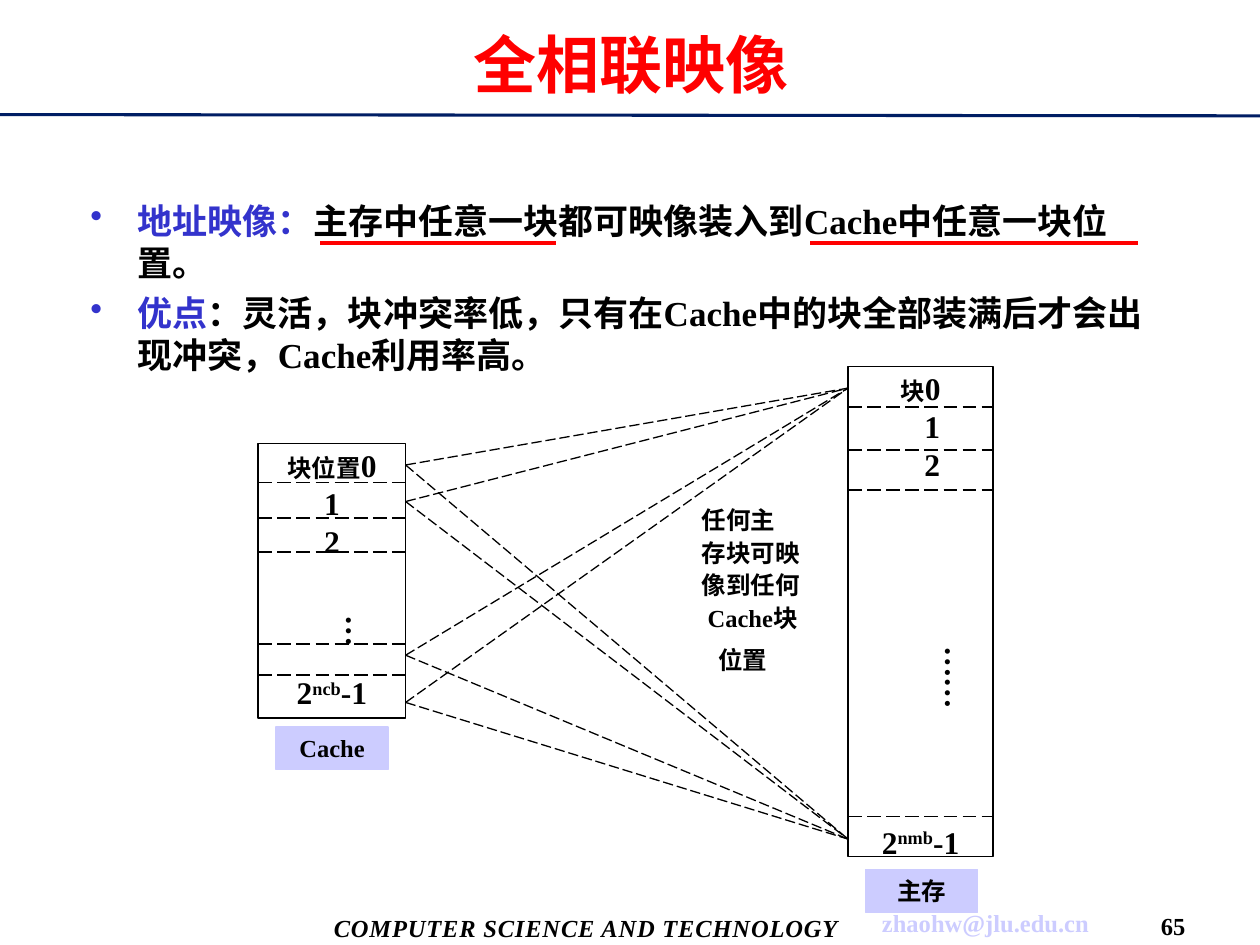
import itertools
from dataclasses import dataclass

import lxml.etree
import pptx
import pptx.dml.color
import pptx.enum.dml
import pptx.enum.shapes
import pptx.enum.text
import pptx.oxml.ns
import pptx.util

Pt = pptx.util.Pt
ALIGN = pptx.enum.text.PP_ALIGN
ANCHOR = pptx.enum.text.MSO_ANCHOR
LATIN, CHINESE = "Times New Roman", "Noto Sans CJK SC"
BLACK, RED, BLUE, LILAC, NAVY = "000000", "FF0000", "3333CC", "CCCCFF", "001E64"
LEADING = 1.2


@dataclass(frozen=True)
class Span:
    text: str
    size: float | None = None
    color: str | None = None
    raised: bool = False


@dataclass(frozen=True)
class Para:
    spans: tuple[Span, ...]
    before: float = 0
    indent: float = 0
    bullet: bool = False


@dataclass(frozen=True)
class Area:
    left: float
    top: float
    width: float
    height: float

    def lengths(self) -> list[int]:
        return [Pt(v) for v in (self.left, self.top, self.width, self.height)]


@dataclass(frozen=True)
class Stack:
    """A memory drawn as a column of blocks, with the label under it."""
    area: Area
    dividers: tuple[float, ...]
    paras: tuple[Para, ...]
    label: str
    label_area: Area
    dots: str
    dots_area: Area


def rgb(color: str) -> pptx.dml.color.RGBColor:
    return pptx.dml.color.RGBColor.from_string(color)


def plain(text: str, **options) -> Para:
    return Para((Span(text),), **options)


def write(box, *paras: Para, size: float = 14, color: str = BLACK, align=ALIGN.LEFT,
          anchor=ANCHOR.TOP, insets=(7.2, 3.6), leading: float | None = None,
          italic: bool = False, tracking: int = 0) -> None:
    """Fill a shape with text; leading is the exact line height in points."""
    frame = box.text_frame
    frame.word_wrap, frame.vertical_anchor = True, anchor
    frame.margin_left = frame.margin_right = Pt(insets[0])
    frame.margin_top = frame.margin_bottom = Pt(insets[1])
    for number, item in enumerate(paras):
        para = frame.add_paragraph() if number else frame.paragraphs[0]
        properties = para._p.get_or_add_pPr()
        properties.set("marL", str(Pt(item.indent)))
        properties.set("indent", str(Pt(-item.indent if item.bullet else 0)))
        properties.set("hangingPunct", "0")
        if item.bullet:
            tint = lxml.etree.SubElement(properties, pptx.oxml.ns.qn("a:buClr"))
            lxml.etree.SubElement(tint, pptx.oxml.ns.qn("a:srgbClr")).set("val", BLUE)
            lxml.etree.SubElement(properties, pptx.oxml.ns.qn("a:buChar")).set("char", "•")
        para.alignment = align
        para.space_before = Pt(item.before)
        if leading:
            para.line_spacing = Pt(leading)
        for part in item.spans:
            span = para.add_run()
            span.text = part.text
            font = span.font
            font.size, font.bold, font.italic = Pt(part.size or size), True, italic
            font.name = LATIN
            font.color.rgb = rgb(part.color or color)
            east = lxml.etree.SubElement(font._element, pptx.oxml.ns.qn("a:ea"))
            east.set("typeface", CHINESE)
            if tracking:
                font._element.set("spc", str(tracking))
            if part.raised:
                font._element.set("baseline", "30000")


def add_text(page, area: Area, *paras: Para, vertical: bool = False, **options) -> None:
    box = page.shapes.add_textbox(*area.lengths())
    write(box, *paras, **options)
    if vertical:
        box.text_frame._txBody.bodyPr.set("vert", "eaVert")


def add_box(page, area: Area, *paras: Para, fill: str | None = None,
            line: str = BLACK, weight: float = 1, **options) -> None:
    box = page.shapes.add_shape(pptx.enum.shapes.MSO_SHAPE.RECTANGLE, *area.lengths())
    box.shadow.inherit = False
    if fill:
        box.fill.solid()
        box.fill.fore_color.rgb = rgb(fill)
    else:
        box.fill.background()
    box.line.color.rgb = rgb(line)
    box.line.width = Pt(weight)
    write(box, *paras, align=ALIGN.CENTER, **options)


def add_line(page, x1: float, y1: float, x2: float, y2: float, color: str = BLACK,
             weight: float = 1, dashed: bool = False) -> None:
    line = page.shapes.add_connector(pptx.enum.shapes.MSO_CONNECTOR.STRAIGHT,
                                     Pt(x1), Pt(y1), Pt(x2), Pt(y2))
    line.line.color.rgb = rgb(color)
    line.line.width = Pt(weight)
    if dashed:
        line.line.dash_style = pptx.enum.dml.MSO_LINE.LONG_DASH
    lxml.etree.SubElement(line._element.spPr, pptx.oxml.ns.qn("a:effectLst"))


def add_stack(page, stack: Stack) -> None:
    area = stack.area
    add_box(page, area, *stack.paras, size=18, leading=18 * LEADING, insets=(1.44, 1.44))
    for y in stack.dividers:
        add_line(page, area.left, y, area.left + area.width, y, dashed=True)
    add_text(page, stack.dots_area, plain(stack.dots), size=18, vertical=True,
             align=ALIGN.CENTER, anchor=ANCHOR.MIDDLE, insets=(3.6, 7.2))
    add_box(page, stack.label_area, plain(stack.label), fill=LILAC, line=LILAC,
            weight=0.75, leading=14 * LEADING)


def block_rows(first: str, power: str, indent: float, gap: float) -> tuple[Para, ...]:
    last = Para((Span("2"), Span(power, raised=True), Span("-1")), before=gap)
    return (Para((Span(first, size=14), Span("0"))),
            plain("1", indent=indent), plain("2", indent=indent), last)


CACHE = Stack(Area(147.6, 253.4, 84.2, 157), (275.8, 295.9, 315.4, 367.9, 385.9),
              block_rows("块位置", "ncb", 0, 65), "Cache", Area(157.7, 415.4, 64.1, 24.5),
              "…", Area(187.2, 344.3, 36, 86.4))
MEMORY = Stack(Area(484.6, 209.5, 82.8, 280), (232.6, 257, 280.1, 466.6),
               block_rows("块", "nmb", 13.5, 194.4), "主存", Area(494.6, 496.8, 64.1, 24.5),
               "……", Area(529.4, 362, 36, 107.3))
CACHE_ENDS = (265.7, 286.6, 374.4, 401.4)
MEMORY_ENDS = (221.8, 479.5)
POINTS = (
    Para((Span("地址映像：", color=BLUE), Span("主存中任意一块都可映像装入到Cache中任意一块位置。")),
         indent=27, bullet=True),
    Para((Span("优点", color=BLUE),
          Span("：灵活，块冲突率低，只有在Cache中的块全部装满后才会出现冲突，Cache利用率高。")),
         before=5, indent=27, bullet=True),
)
REMARK = (plain("任何主"), plain("存块可映", before=8.8), plain("像到任何", before=8.8),
          plain("Cache块", before=8.8, indent=3.5), plain("位置", before=14, indent=9.5))


def main() -> None:
    deck = pptx.Presentation()
    deck.slide_width, deck.slide_height = Pt(720), Pt(540)
    page = deck.slides.add_slide(deck.slide_layouts[5])

    title = page.shapes.title
    title.left, title.top, title.width, title.height = Area(23.4, 6.4, 674.6, 59.8).lengths()
    write(title, plain("全相联映像"), size=36, color=RED, align=ALIGN.CENTER,
          anchor=ANCHOR.MIDDLE)
    add_line(page, 0, 65.5, 720, 66.2, color=NAVY, weight=1.75)

    footer = {"align": ALIGN.CENTER, "anchor": ANCHOR.MIDDLE}
    add_text(page, Area(164.8, 514.8, 340, 30.2), plain("COMPUTER SCIENCE AND TECHNOLOGY"),
             italic=True, tracking=44, **footer)
    add_text(page, Area(483.2, 514.1, 160, 25.9), plain("zhaohw@jlu.edu.cn"),
             color=LILAC, **footer)
    add_text(page, Area(654.5, 517.7, 31.7, 22.3), plain("65"), **footer)

    add_text(page, Area(44.6, 110.2, 632, 85), *POINTS, size=20, leading=20 * LEADING,
             insets=(7.2, 3.6))
    for start, end in ((182.9, 317.5), (463, 650.2)):
        add_line(page, start, 139, end, 139, color=RED, weight=2.25)

    for stack in (CACHE, MEMORY):
        add_stack(page, stack)
    cache_edge = CACHE.area.left + CACHE.area.width
    for y1, y2 in itertools.product(CACHE_ENDS, MEMORY_ENDS):
        add_line(page, cache_edge, y1, MEMORY.area.left, y2, weight=0.75, dashed=True)
    add_text(page, Area(393.8, 290.2, 85, 97.9), *REMARK, leading=10, insets=(7.2, 5))

    deck.save("out.pptx")


if __name__ == "__main__":
    main()
